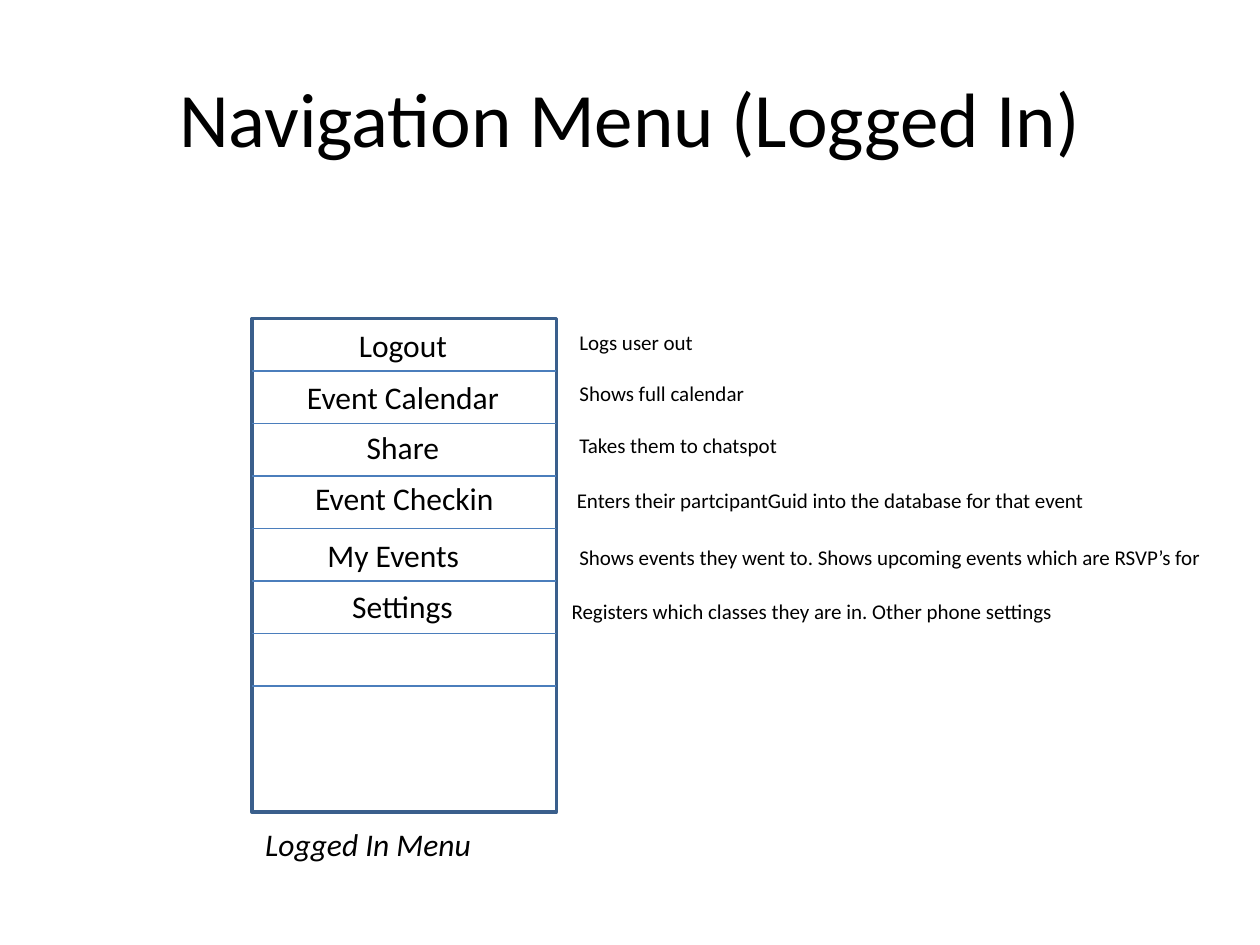
"""Build the logged-in navigation menu slide."""
from typing import NamedTuple

from lxml.etree import SubElement
from pptx import Presentation
from pptx.dml.color import RGBColor
from pptx.enum.shapes import MSO_CONNECTOR, MSO_SHAPE
from pptx.enum.text import MSO_ANCHOR, MSO_AUTO_SIZE, PP_ALIGN
from pptx.oxml.ns import qn
from pptx.shapes.shapetree import GroupShapes, SlideShapes
from pptx.text.text import Font
from pptx.util import Pt

LEFT, CENTER = PP_ALIGN.LEFT, PP_ALIGN.CENTER
MIDDLE = MSO_ANCHOR.MIDDLE
FIT = MSO_AUTO_SIZE.SHAPE_TO_FIT_TEXT
STRAIGHT = MSO_CONNECTOR.STRAIGHT
RECT = MSO_SHAPE.RECTANGLE

BLACK = RGBColor(0x00, 0x00, 0x00)
EDGE = RGBColor(0x3A, 0x5F, 0x8C)
RULE = RGBColor(0x4B, 0x7E, 0xBC)
FACE = "Calibri"

MENU_X, MENU_Y, MENU_W, MENU_H = 144, 182, 174, 282
ROW_H, RULES = 30, 7


class Label(NamedTuple):
    text: str
    x: float
    y: float
    w: float
    align: PP_ALIGN = LEFT
    size: int = 18
    wrap: bool = True
    slant: bool = False


class Note(NamedTuple):
    text: str
    y: float
    w: float
    x: float = 324


LABELS = [
    Label("Logout", 144.5, 183, 171.5, CENTER),
    Label("Event Calendar", 144.5, 212.5, 171.5, CENTER),
    Label("Share", 144.5, 241, 171.5, CENTER),
    Label("Event Checkin", 144.5, 270, 173, CENTER),
    Label("My Events", 180, 302.5, 90),
    Label("Settings", 143.5, 332, 173, CENTER),
    Label("Logged In Menu", 144.5, 468, 133, wrap=False, slant=True),
]

NOTES = [
    Note("Logs user out", 184.5, 80),
    Note("Shows full calendar", 214, 109.5),
    Note("Takes them to chatspot", 243.5, 131),
    Note("Enters their partcipantGuid into the database for that event",
         275, 306.5, 322.5),
    Note("Shows events they went to. Shows upcoming events which are "
         "RSVP’s for", 307.5, 373.5),
    Note("Registers which classes they are in. Other phone settings",
         338.5, 292.5, 319.5),
]


def style(font: Font, size: int, slant: bool = False) -> None:
    font.name, font.size = FACE, Pt(size)
    font.color.rgb = BLACK
    if slant:
        font.italic = True


def write(shapes: GroupShapes | SlideShapes, label: Label) -> None:
    height = 29 if label.size == 18 else 22
    box = shapes.add_textbox(Pt(label.x), Pt(label.y), Pt(label.w), Pt(height))
    frame = box.text_frame
    frame.word_wrap, frame.auto_size = label.wrap, FIT
    line = frame.paragraphs[0]
    line.text, line.alignment = label.text, label.align
    style(line.font, label.size, label.slant)


def rule(shapes: GroupShapes, y: float) -> None:
    line = shapes.add_connector(
        STRAIGHT, Pt(MENU_X), Pt(y), Pt(MENU_X + MENU_W), Pt(y))
    line.line.color.rgb, line.line.width = RULE, Pt(0.75)
    SubElement(line._element.spPr, qn("a:effectLst"))


def panel(shapes: GroupShapes) -> None:
    box = shapes.add_shape(
        RECT, Pt(MENU_X), Pt(MENU_Y), Pt(MENU_W), Pt(MENU_H))
    box.shadow.inherit = False
    box.fill.background()
    box.line.color.rgb, box.line.width = EDGE, Pt(2)


def main() -> None:
    deck = Presentation()
    deck.slide_width, deck.slide_height = Pt(720), Pt(540)
    slide = deck.slides.add_slide(deck.slide_layouts[5])

    title = slide.shapes.title
    title.left, title.top = Pt(36), Pt(21.6)
    title.width, title.height = Pt(648), Pt(90)
    title.text_frame.vertical_anchor = MIDDLE
    head = title.text_frame.paragraphs[0]
    head.text, head.alignment = "Navigation Menu (Logged In)", CENTER
    style(head.font, 44)

    menu = slide.shapes.add_group_shape().shapes
    panel(menu)
    for row in range(1, RULES + 1):
        rule(menu, MENU_Y + row * ROW_H)
    for label in LABELS:
        write(menu, label)
    for note in NOTES:
        write(slide.shapes, Label(note.text, note.x, note.y, note.w,
                                  size=12, wrap=False))
    deck.save("out.pptx")


main()
